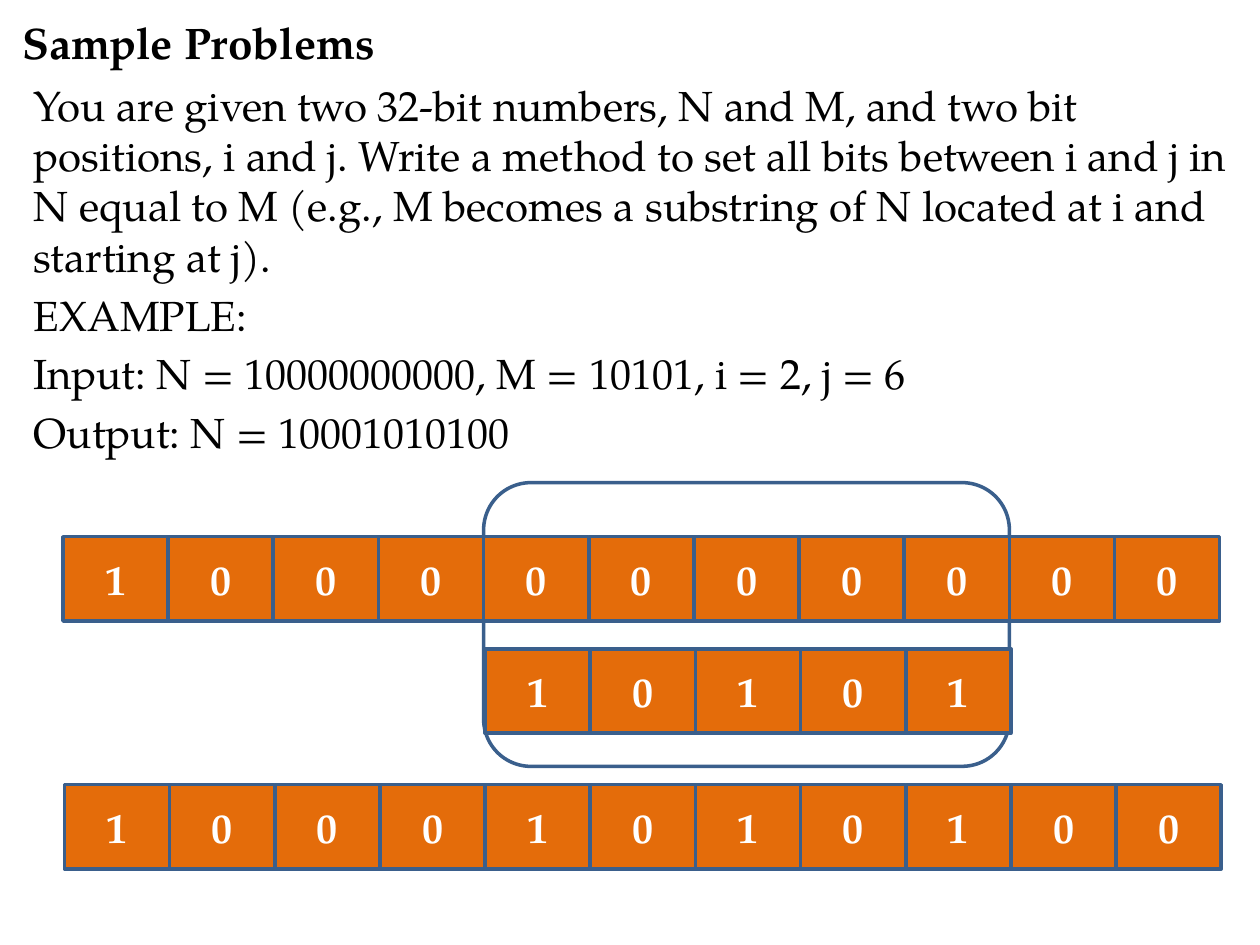
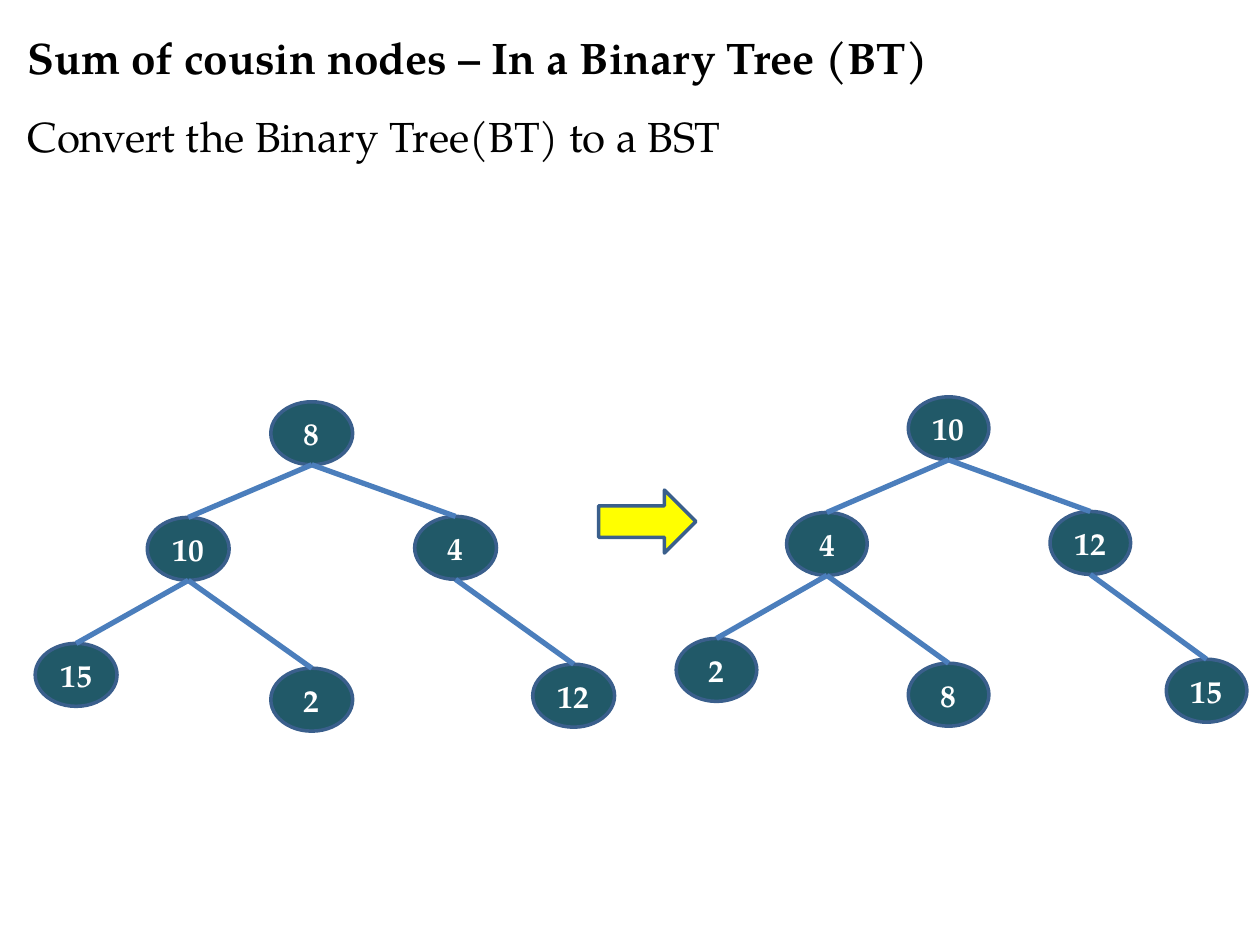
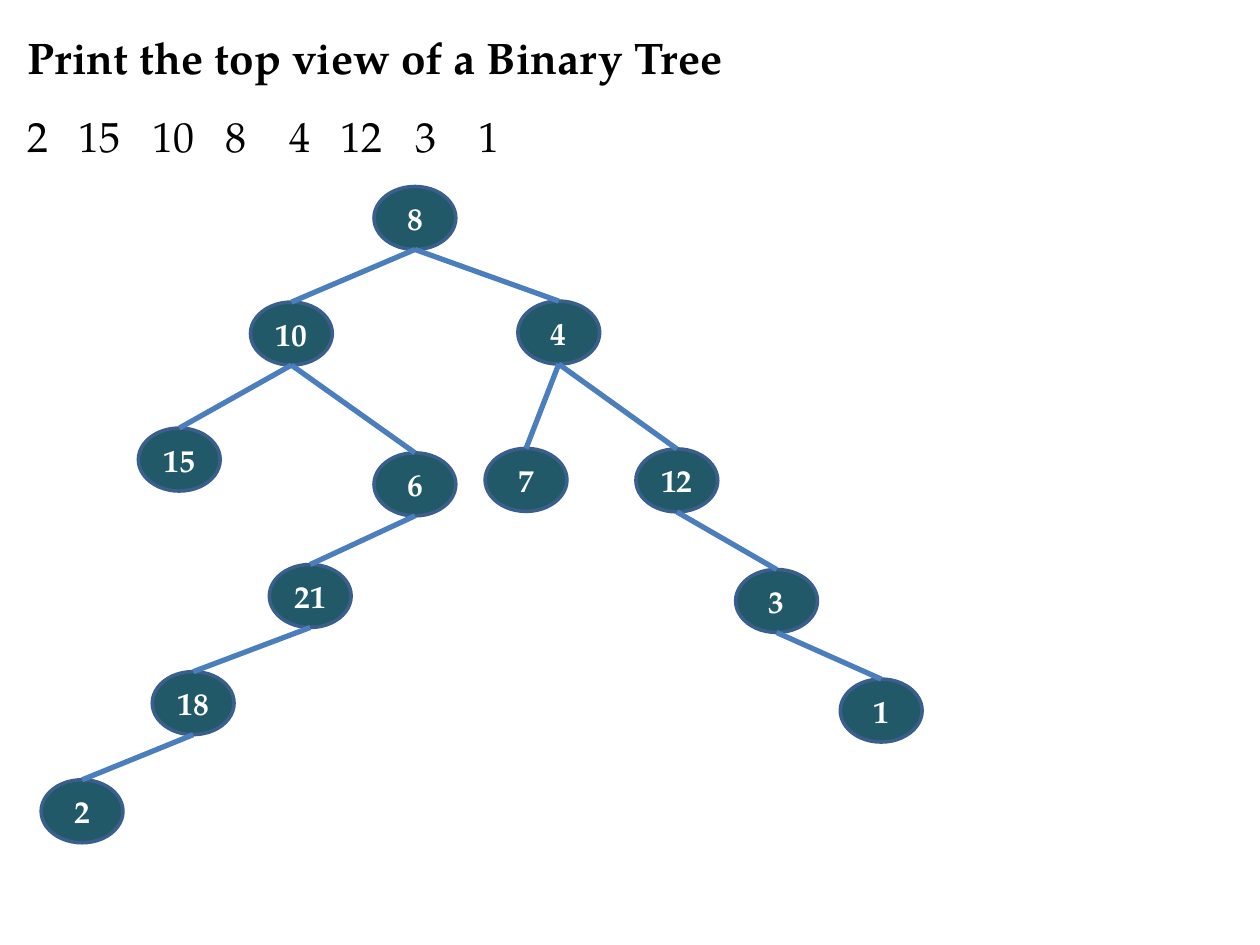
from dataclasses import dataclass

from lxml import etree
from pptx import Presentation
from pptx.dml.color import RGBColor
from pptx.enum.shapes import MSO_CONNECTOR, MSO_SHAPE
from pptx.enum.text import MSO_ANCHOR, PP_ALIGN
from pptx.oxml.ns import qn
from pptx.util import Cm, Pt


@dataclass(frozen=True)
class Theme:
    """Colours, font and type sizes shared by all slides."""
    font: str = "TeX Gyre Pagella"
    text: str = "000000"
    light: str = "FFFFFF"
    outline: str = "3A5F8C"
    edge: str = "4B7EBC"
    bit: str = "E46C0A"
    node: str = "215968"
    arrow: str = "FFFF00"
    title_size: float = 25.2
    body_size: float = 24
    node_size: float = 18
    para_gap: float = 4.8
    outline_width: float = 2
    edge_width: float = 3


BIT_W, BIT_H = 2.12, 1.7
NODE_W, NODE_H = 1.65, 1.27

# Offset of each node from the root; a key is the way down (Left, Right).
NODE_OFFSETS = {
    "": (0, 0),
    "L": (-2.49, 2.33), "R": (2.9, 2.31),
    "LL": (-4.75, 4.87), "LR": (0, 5.37),
    "RL": (2.24, 5.28), "RR": (5.28, 5.29),
    "LRL": (-2.11, 7.62), "LRLL": (-4.47, 9.78), "LRLLL": (-6.71, 11.96),
    "RRR": (7.29, 7.72), "RRRR": (9.4, 9.93),
}


class Deck:
    """Holds the presentation, its theme and the current slide."""

    def __init__(self, theme):
        """Start an empty 4:3 presentation."""
        self.theme = theme
        self.prs = Presentation()
        self.prs.slide_width, self.prs.slide_height = Cm(25.4), Cm(19.05)
        self.slide = None

    def new_slide(self):
        """Add a blank slide and make it current."""
        self.slide = self.prs.slides.add_slide(self.prs.slide_layouts[6])

    def run(self, p, text, size, color, bold=False):
        """Add one styled run to a paragraph."""
        r = p.add_run()
        r.text = text
        r.font.name = self.theme.font
        r.font.size = Pt(size)
        r.font.bold = bold
        r.font.color.rgb = RGBColor.from_string(color)

    def text_frame(self, x, y, w, h):
        """Add a wrapping text box and return its text frame."""
        tf = self.slide.shapes.add_textbox(Cm(x), Cm(y), Cm(w), Cm(h)).text_frame
        tf.word_wrap = True
        return tf

    def title(self, text, x=0.3, y=0.48, w=24.77, h=1.35):
        """Add the bold slide title."""
        tf = self.text_frame(x, y, w, h)
        tf.vertical_anchor = MSO_ANCHOR.MIDDLE
        self.run(tf.paragraphs[0], text, self.theme.title_size, self.theme.text, True)

    def body(self, lines, x=0.3, y=2.11, w=24.77, h=16.46, tabs=()):
        """Add body paragraphs, with optional tab stops in cm."""
        tf = self.text_frame(x, y, w, h)
        for i, line in enumerate(lines):
            p = tf.add_paragraph() if i else tf.paragraphs[0]
            p.space_before = Pt(self.theme.para_gap)
            self.run(p, line, self.theme.body_size, self.theme.text)
            if tabs:
                tab_list = etree.SubElement(p._p.get_or_add_pPr(), qn("a:tabLst"))
                for pos in tabs:
                    etree.SubElement(tab_list, qn("a:tab"), pos=str(Cm(pos)), algn="l")

    def shape(self, kind, x, y, w, h, fill, text="", size=0):
        """Add an outlined preset shape with optional centred bold text."""
        sp = self.slide.shapes.add_shape(kind, Cm(x), Cm(y), Cm(w), Cm(h))
        sp.shadow.inherit = False
        sp.fill.solid()
        sp.fill.fore_color.rgb = RGBColor.from_string(fill)
        sp.line.color.rgb = RGBColor.from_string(self.theme.outline)
        sp.line.width = Pt(self.theme.outline_width)
        if text:
            tf = sp.text_frame
            tf.margin_left = tf.margin_right = tf.margin_top = tf.margin_bottom = 0
            tf.vertical_anchor = MSO_ANCHOR.MIDDLE
            p = tf.paragraphs[0]
            p.alignment = PP_ALIGN.CENTER
            self.run(p, text, size, self.theme.light, True)

    def bits(self, digits, x, y):
        """Add a row of adjoining boxes, one per binary digit."""
        for i, digit in enumerate(digits):
            self.shape(MSO_SHAPE.RECTANGLE, x + i * BIT_W, y, BIT_W, BIT_H,
                       self.theme.bit, digit, self.theme.body_size)

    def edge(self, x1, y1, x2, y2):
        """Add a straight tree edge."""
        line = self.slide.shapes.add_connector(
            MSO_CONNECTOR.STRAIGHT, Cm(x1), Cm(y1), Cm(x2), Cm(y2))
        line.line.color.rgb = RGBColor.from_string(self.theme.edge)
        line.line.width = Pt(self.theme.edge_width)
        etree.SubElement(line._element.spPr, qn("a:effectLst"))

    def tree(self, values, x, y, stretch=1):
        """Draw a binary tree with its root at x, y, then join the nodes."""
        width = NODE_W * stretch
        spots = {key: (x + NODE_OFFSETS[key][0] * stretch, y + NODE_OFFSETS[key][1])
                 for key in values}
        for key, (left, top) in spots.items():
            self.shape(MSO_SHAPE.OVAL, left, top, width, NODE_H,
                       self.theme.node, str(values[key]), self.theme.node_size)
        for key, (left, top) in spots.items():
            if key:
                parent_left, parent_top = spots[key[:-1]]
                self.edge(parent_left + width / 2, parent_top + NODE_H,
                          left + width / 2, top)


def bit_slide(deck):
    """Build the bit insertion problem."""
    deck.new_slide()
    deck.shape(MSO_SHAPE.ROUNDED_RECTANGLE, 9.75, 9.73, 5 * BIT_W, 5.72,
               deck.theme.light)
    deck.bits("10101", 9.78, 13.08)
    deck.bits("10000000000", 1.27, 10.82)
    deck.title("Sample Problems", 0.2, 0.2, 24.56, 1.27)
    deck.body([
        "You are given two 32-bit numbers, N and M, and two bit positions, i and j. "
        "Write a method to set all bits between i and j in N equal to M "
        "(e.g., M becomes a substring of N located at i and starting at j).",
        "EXAMPLE:",
        "Input: N = 10000000000, M = 10101, i = 2, j = 6",
        "Output: N = 10001010100",
    ], 0.43, 1.47, 24.77, 17.35)
    deck.bits("10001010100", 1.3, 15.82)


def convert_slide(deck):
    """Build the conversion of a binary tree to a search tree."""
    deck.new_slide()
    deck.title("Sum of cousin nodes – In a Binary Tree (BT)")
    deck.body(["Convert the Binary Tree(BT) to a BST"])
    deck.tree({"": 8, "L": 10, "LL": 15, "R": 4, "LR": 2, "RR": 12}, 5.46, 8.1)
    deck.tree({"": 10, "L": 4, "LL": 2, "R": 12, "LR": 8, "RR": 15}, 18.31, 8, 0.985)
    deck.shape(MSO_SHAPE.RIGHT_ARROW, 12.07, 9.88, 1.96, 1.27, deck.theme.arrow)


def top_view_slide(deck):
    """Build the top view problem."""
    deck.new_slide()
    deck.title("Print the top view of a Binary Tree")
    deck.body(["\t".join(["2", "15", "10", "8", "4", "12", "3", "1"])],
              tabs=(1.03, 2.52, 4, 5.28, 6.32, 7.82, 9.1))
    deck.tree({"": 8, "L": 10, "LL": 15, "R": 4, "LR": 6, "RR": 12, "RL": 7,
               "LRL": 21, "LRLL": 18, "LRLLL": 2, "RRRR": 1, "RRR": 3}, 7.54, 3.76)


def main():
    """Build and save the presentation."""
    deck = Deck(Theme())
    bit_slide(deck)
    convert_slide(deck)
    top_view_slide(deck)
    deck.prs.save("out.pptx")


main()
